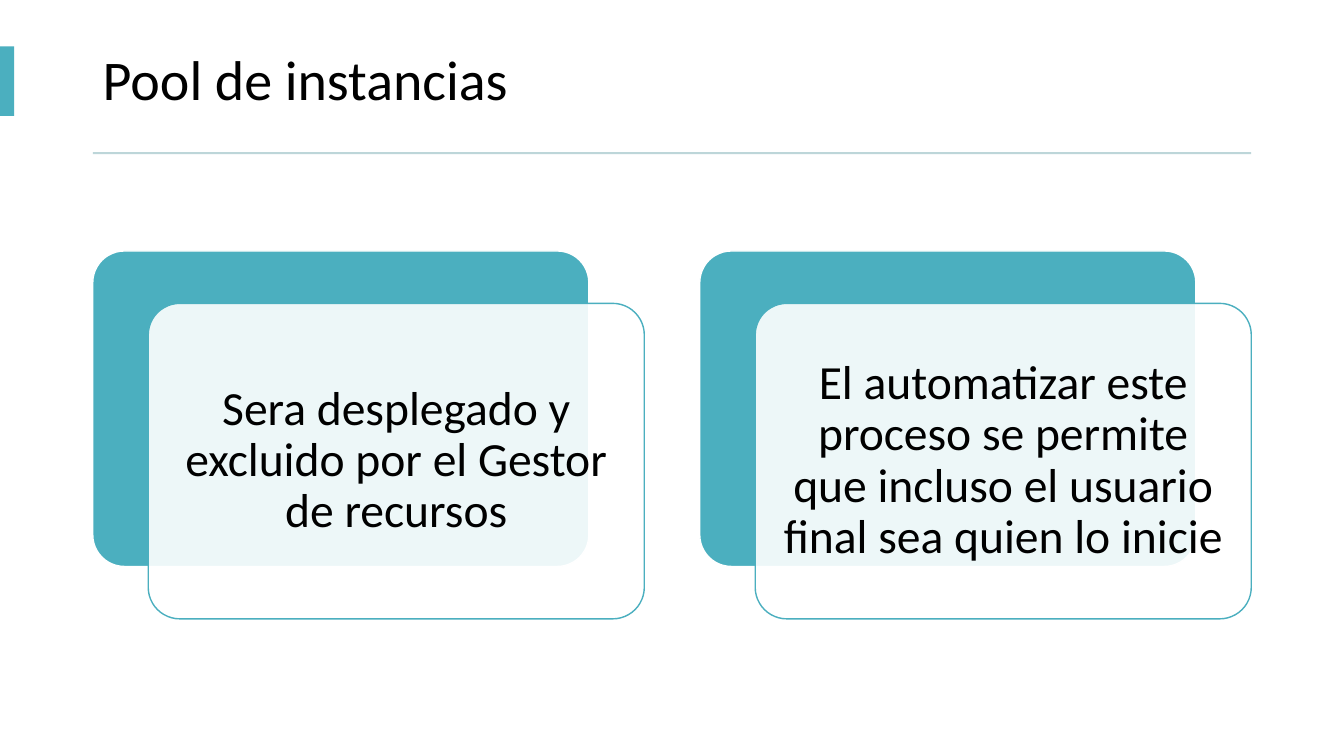
from lxml import etree
from pptx import Presentation
from pptx.dml.color import RGBColor
from pptx.enum import shapes, text
from pptx.oxml.ns import qn
from pptx.util import Inches, Pt

# Content
TITLE = "Pool de instancias"
CARDS = [
    "Sera desplegado y excluido por el Gestor de recursos",
    "El automatizar este proceso se permite que incluso el usuario "
    "final sea quien lo inicie",
]

# Style
FONT = "Calibri"
TEAL = RGBColor(0x4B, 0xAF, 0xBF)
PALE_TEAL = RGBColor(0xBD, 0xD6, 0xD9)
WHITE = RGBColor(0xFF, 0xFF, 0xFF)
BLACK = RGBColor(0x00, 0x00, 0x00)

# Layout in inches
LEFT, WIDTH = 0.92, 11.49
CARD_TOP, CARD_WIDTH, CARD_HEIGHT = 2.49, 4.92, 3.13
CARD_STEP = 6.02
PANEL_SHIFT_X, PANEL_SHIFT_Y = 0.55, 0.52
PANEL_INSET = 0.14


def add_block(page, kind, left, top, width, height, fill, line=None):
    block = page.shapes.add_shape(
        kind, Inches(left), Inches(top), Inches(width), Inches(height))
    block.shadow.inherit = False
    block.fill.solid()
    block.fill.fore_color.rgb = fill
    if line is None:
        block.line.fill.background()
    else:
        block.line.color.rgb = line
        block.line.width = Pt(1)
    return block


def add_card_layer(page, left, top, fill, line):
    layer = add_block(page, shapes.MSO_SHAPE.ROUNDED_RECTANGLE, left, top,
                      CARD_WIDTH, CARD_HEIGHT, fill, line)
    layer.adjustments[0] = 0.1
    return layer


def write(box, words, size, align, inset_x, inset_y):
    frame = box.text_frame
    frame.word_wrap = True
    frame.vertical_anchor = text.MSO_ANCHOR.MIDDLE
    frame.margin_left = frame.margin_right = Inches(inset_x)
    frame.margin_top = frame.margin_bottom = Inches(inset_y)
    para = frame.paragraphs[0]
    para.alignment = align
    para.line_spacing = 0.9
    span = para.add_run()
    span.text = words
    span.font.name = FONT
    span.font.size = Pt(size)
    span.font.color.rgb = BLACK


def set_opacity(shape, percent):
    color = shape.fill._xPr.find(qn("a:solidFill"))[0]
    etree.SubElement(color, qn("a:alpha")).set("val", str(percent * 1000))


def main():
    deck = Presentation()
    deck.slide_width, deck.slide_height = Inches(13.33), Inches(7.5)
    page = deck.slides.add_slide(deck.slide_layouts[6])
    page.background.fill.solid()
    page.background.fill.fore_color.rgb = WHITE

    # Title, side accent and rule
    title = page.shapes.add_textbox(
        Inches(LEFT), Inches(0.27), Inches(WIDTH), Inches(1.1))
    write(title, TITLE, 40, text.PP_ALIGN.LEFT, 0.1, 0.05)
    rectangle = shapes.MSO_SHAPE.RECTANGLE
    add_block(page, rectangle, 0, 0.46, 0.14, 0.69, TEAL)
    add_block(page, rectangle, LEFT, 1.51, WIDTH, 0.02, PALE_TEAL)

    # Cards: a teal back with a translucent text panel in front
    for index, words in enumerate(CARDS):
        left = LEFT + index * CARD_STEP
        add_card_layer(page, left, CARD_TOP, TEAL, WHITE)
        panel = add_card_layer(page, left + PANEL_SHIFT_X,
                               CARD_TOP + PANEL_SHIFT_Y, WHITE, TEAL)
        set_opacity(panel, 90)
        write(panel, words, 34, text.PP_ALIGN.CENTER,
              PANEL_INSET, PANEL_INSET)

    deck.save("out.pptx")


if __name__ == "__main__":
    main()
